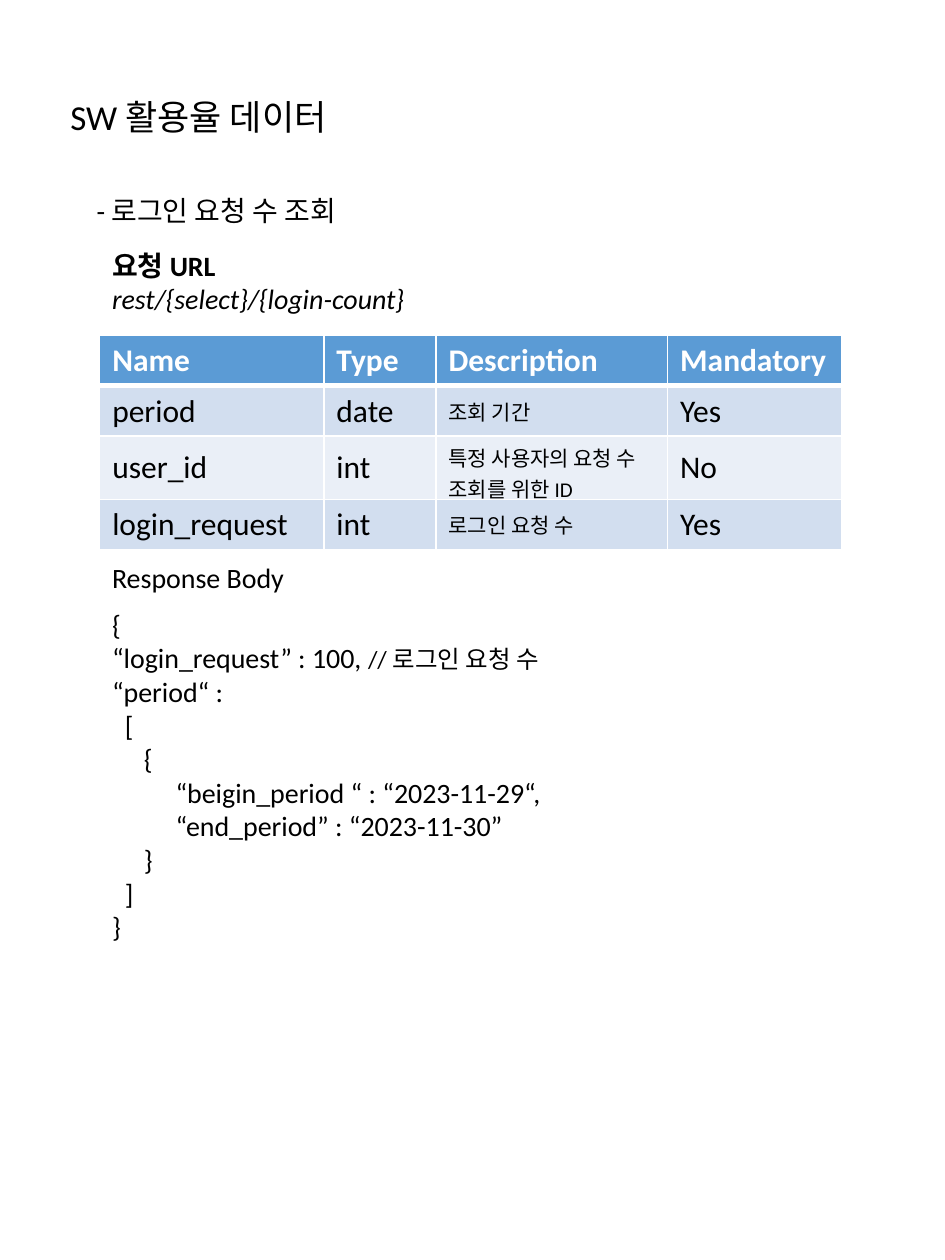
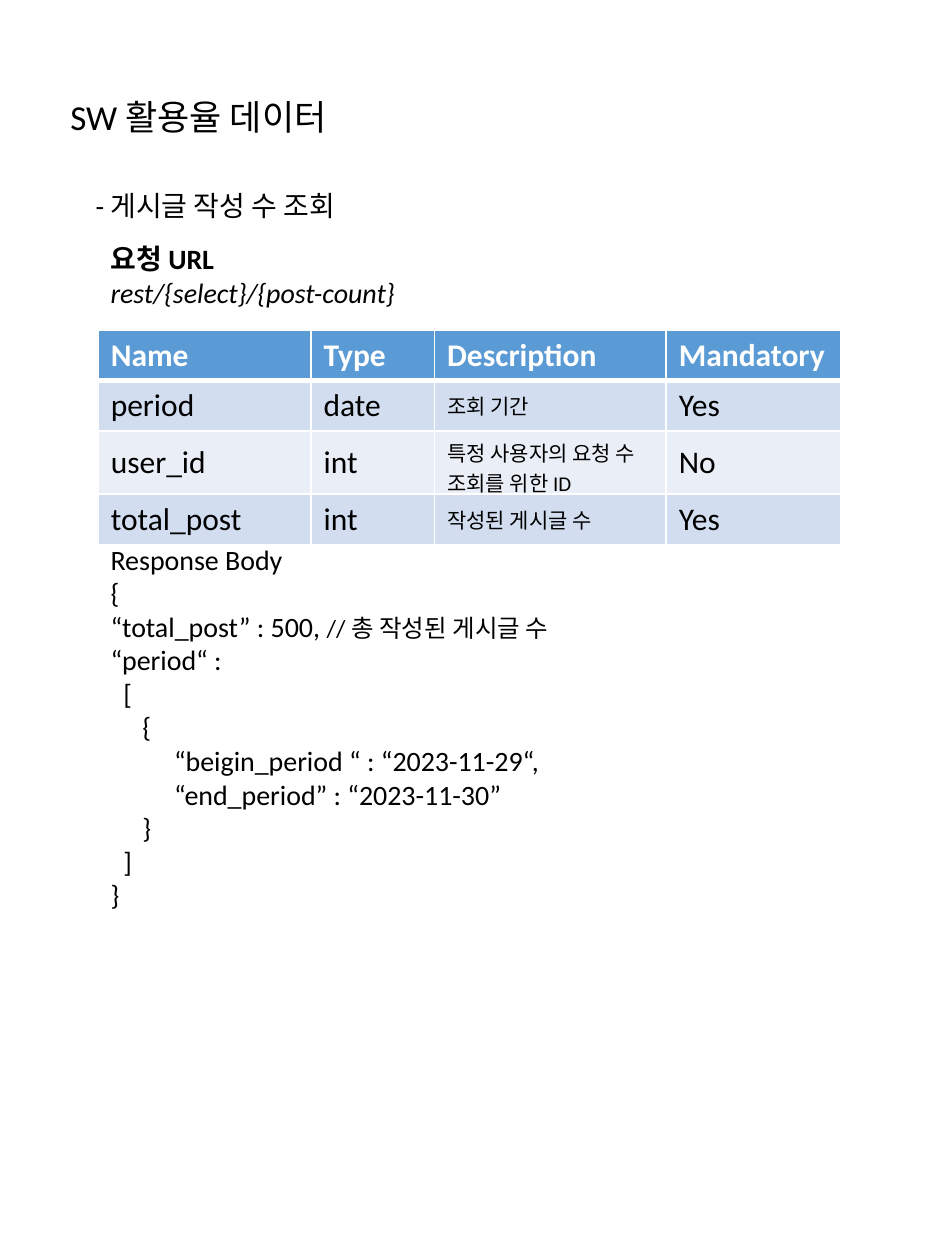
from dataclasses import dataclass

from lxml.etree import SubElement
from pptx import Presentation
from pptx.dml.color import RGBColor
from pptx.enum.text import MSO_ANCHOR, MSO_AUTO_SIZE
from pptx.oxml.ns import qn
from pptx.util import Cm, Pt


@dataclass(frozen=True)
class Theme:
    """Font, colours and type sizes shared by every page."""
    font: str = "Calibri"
    ink: str = "000000"
    paper: str = "FFFFFF"
    header: str = "5B9BD5"
    bands: tuple = ("D2DEEF", "EAEFF7")
    title: int = 20
    body: int = 16
    table: int = 18
    comment: int = 14
    description: int = 12
    rule: int = 1
    header_rule: int = 3


@dataclass(frozen=True)
class ApiPage:
    """Wording and placement of one API page; lengths are centimetres."""
    heading: str
    url: str
    field: str
    count: int
    field_note: str
    comment: str
    heading_left: float
    left: float
    heading_top: float
    request_top: float
    table_top: float
    response_top: float
    code_top: float
    request_width: float
    columns: tuple


THEME = Theme()
TITLE = "SW 활용율 데이터"
TABLE_HEADER = ("Name", "Type", "Description", "Mandatory")
ROW_HEIGHTS = (0.64, 0.64, 0.99, 0.99)
TABLE_HEIGHT = 3.91
SPACE = 0.128  # one step of code indentation, in centimetres

PAGES = (
    ApiPage(
        heading="- 로그인 요청 수 조회", url="rest/{select}/{login-count}",
        field="login_request", count=100,
        field_note="로그인 요청 수", comment="// 로그인 요청 수",
        heading_left=1.7, left=2.01, heading_top=3.78, request_top=4.88,
        table_top=6.76, response_top=11.18, code_top=12.12,
        request_width=6.48, columns=(4.52, 2.26, 4.67, 3.51)),
    ApiPage(
        heading="- 게시글 작성 수 조회", url="rest/{select}/{post-count}",
        field="total_post", count=500,
        field_note="작성된 게시글 수", comment="// 총 작성된 게시글 수",
        heading_left=1.68, left=1.98, heading_top=3.68, request_top=4.75,
        table_top=6.65, response_top=10.82, code_top=11.48,
        request_width=6.32, columns=(4.29, 2.49, 4.67, 3.51)),
)


def add_span(para, text, size, color=THEME.ink, **styles):
    """Add one formatted run to a paragraph."""
    span = para.add_run()
    span.text = text
    formats = {"name": THEME.font, "size": Pt(size), "bold": False, **styles}
    for name, value in formats.items():
        setattr(span.font, name, value)
    span.font.color.rgb = RGBColor.from_string(color)


def add_text(page, place, lines, **frame_formats):
    """Add a text box; each line is (indent steps, list of spans)."""
    box = page.shapes.add_textbox(*map(Cm, place))
    formats = {"word_wrap": True, "auto_size": MSO_AUTO_SIZE.SHAPE_TO_FIT_TEXT,
               **frame_formats}
    for name, value in formats.items():
        setattr(box.text_frame, name, value)
    for number, (steps, spans) in enumerate(lines):
        para = (box.text_frame.add_paragraph() if number
                else box.text_frame.paragraphs[0])
        if steps:
            para._p.get_or_add_pPr().set("marL", str(Cm(steps * SPACE)))
        for text, size, styles in spans:
            add_span(para, text, size, **styles)
    return box


def plain(text, steps=0):
    """Describe a line of plain body text."""
    return steps, [(text, THEME.body, {})]


def add_title(page):
    """Add the title shared by all pages."""
    box = add_text(page, (1.17, 1.78, 7.09, 1.24),
                   [(0, [(TITLE, THEME.title, {})])],
                   auto_size=MSO_AUTO_SIZE.NONE,
                   vertical_anchor=MSO_ANCHOR.MIDDLE)
    box.text_frame.paragraphs[0].line_spacing = 0.9


def set_borders(cell, row):
    """Draw the cell's white borders, thicker beneath the header."""
    widths = dict.fromkeys(("lnL", "lnR", "lnT", "lnB"), THEME.rule)
    if row < 2:
        widths["lnT" if row else "lnB"] = THEME.header_rule
    properties = cell._tc.get_or_add_tcPr()
    for tag, width in widths.items():
        line = SubElement(properties, qn(f"a:{tag}"), w=str(Pt(width)))
        fill = SubElement(line, qn("a:solidFill"))
        SubElement(fill, qn("a:srgbClr"), val=THEME.paper)


def fill_cell(cell, text, row, column):
    """Write and style one table cell according to its position."""
    is_header = row == 0
    set_borders(cell, row)
    cell.fill.solid()
    color = THEME.header if is_header else THEME.bands[(row - 1) % 2]
    cell.fill.fore_color.rgb = RGBColor.from_string(color)
    cell.vertical_anchor = MSO_ANCHOR.BOTTOM if is_header else MSO_ANCHOR.MIDDLE
    is_description = column == 2 and not is_header
    add_span(cell.text_frame.paragraphs[0], text,
             THEME.description if is_description else THEME.table,
             THEME.paper if is_header else THEME.ink, bold=is_header)


def add_parameter_table(page, api):
    """Add the table of request parameters."""
    rows = (
        TABLE_HEADER,
        ("period", "date", "조회 기간", "Yes"),
        ("user_id", "int", "특정 사용자의 요청 수 조회를 위한 ID", "No"),
        (api.field, "int", api.field_note, "Yes"),
    )
    place = (api.left, api.table_top, sum(api.columns), TABLE_HEIGHT)
    frame = page.shapes.add_table(len(rows), len(TABLE_HEADER), *map(Cm, place))
    for column, width in zip(frame.table.columns, api.columns):
        column.width = Cm(width)
    for row, height in zip(frame.table.rows, ROW_HEIGHTS):
        row.height = Cm(height)
    frame.height = Cm(TABLE_HEIGHT)
    for row, texts in enumerate(rows):
        for column, text in enumerate(texts):
            fill_cell(frame.table.cell(row, column), text, row, column)


def add_request(page, api):
    """Add the heading and the request URL."""
    add_text(page, (api.heading_left, api.heading_top, 5.77, 0.94),
             [plain(api.heading)], word_wrap=False)
    add_text(page, (api.left, api.request_top, api.request_width, 1.62),
             [(0, [("요청 URL", THEME.body, {"bold": True})]),
              (0, [(api.url, THEME.body, {"italic": True})])],
             word_wrap=False)


def add_response(page, api):
    """Add the response label and the sample JSON body."""
    add_text(page, (api.left, api.response_top, 4.01, 0.94),
             [plain("Response Body")])
    count_line = [(f"“{api.field}” : {api.count}, ", THEME.body, {}),
                  (api.comment, THEME.comment, {})]
    add_text(page, (api.left, api.code_top, 15.39, 7.09), [
        plain("{"),
        (0, count_line),
        plain("“period“ :"),
        plain("[", 2),
        plain("{", 5),
        plain("“beigin_period “ : “2023-11-29“,", 10),
        plain("“end_period” : “2023-11-30”", 10),
        plain("}", 5),
        plain("]", 2),
        plain("}"),
    ])


def main():
    """Build and save the deck."""
    deck = Presentation()
    deck.slide_width, deck.slide_height = Cm(19.05), Cm(25.4)
    for api in PAGES:
        page = deck.slides.add_slide(deck.slide_layouts[6])
        add_title(page)
        add_request(page, api)
        add_parameter_table(page, api)
        add_response(page, api)
    deck.save("out.pptx")


main()
